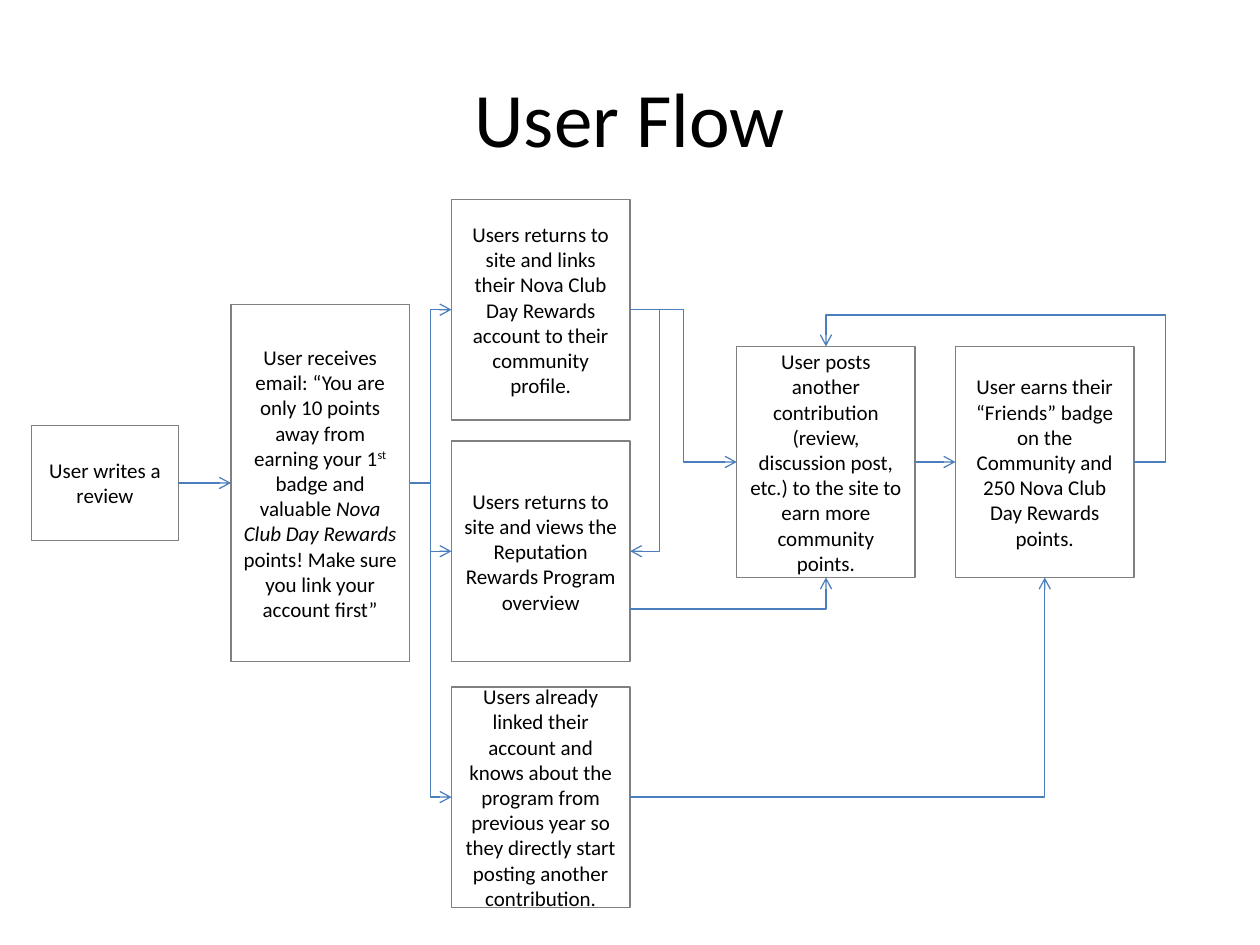
from lxml.etree import SubElement
from pptx import Presentation
from pptx.dml.color import RGBColor as RGB
from pptx.enum.shapes import MSO_CONNECTOR as CONN, MSO_SHAPE as SHAPE
from pptx.enum.text import MSO_ANCHOR as ANCHOR, PP_ALIGN as ALIGN
from pptx.oxml.ns import qn
from pptx.util import Pt

# Content: box name -> (left, top, width, height), text runs with formats
TITLE = "User Flow"
TITLE_AREA = (36, 21.6, 648, 90)
BOXES = {
    "review": ((18, 243, 84, 66), [("User writes a review", {})]),
    "email": ((132, 174, 102, 204), [
        ("User receives email: “You are only 10 points away from earning your 1", {}),
        ("st", {"baseline": "30000"}),
        (" badge and valuable ", {}),
        ("Nova Club Day Rewards ", {"italic": True}),
        ("points! Make sure you link your account first”", {})]),
    "link": ((258, 114, 102, 126), [
        ("Users returns to site and links their Nova Club Day Rewards account "
         "to their community profile.", {})]),
    "overview": ((258, 252, 102, 126), [
        ("Users returns to site and views the Reputation Rewards Program overview", {})]),
    "linked": ((258, 392.5, 102, 126), [
        ("Users already linked their account and knows about the program from previous "
         "year so they directly start posting another contribution.", {})]),
    "badge": ((546, 198, 102, 132), [
        ("User earns their “Friends” badge on the Community and "
         "250 Nova Club Day Rewards points.", {})]),
    "post": ((421, 198, 102, 132), [
        ("User posts another contribution (review, discussion post, etc.) to the site "
         "to earn more community points.", {})]),
}

# Flows: from box, side, to box, side, preset, bend positions (x, then y)
MID = None
FLOWS = [
    ("review", "right", "email", "left", "line", ()),
    ("email", "right", "link", "left", "bentConnector3", (MID,)),
    ("email", "right", "overview", "left", "bentConnector3", (MID,)),
    ("email", "right", "linked", "left", "bentConnector3", (MID,)),
    ("link", "right", "overview", "right", "bentConnector3", (378,)),
    ("link", "right", "post", "left", "bentConnector3", (MID,)),
    ("overview", "lower right", "post", "bottom", "bentConnector2", ()),
    ("linked", "right", "badge", "bottom", "bentConnector2", ()),
    ("badge", "right", "post", "top", "bentConnector4", (666, 180)),
    ("post", "right", "badge", "left", "line", ()),
]

# Side -> fraction of box width and height
SIDES = {"left": (0, 0.5), "right": (1, 0.5), "top": (0.5, 0),
         "bottom": (0.5, 1), "lower right": (1, 96 / 126)}

THEME = {
    "font": "Calibri", "title": Pt(44), "body": Pt(12), "line": Pt(0.75),
    "text": RGB(0, 0, 0), "border": RGB(0x80, 0x80, 0x80), "flow": RGB(0x4B, 0x7E, 0xBC),
}
MIN_SPAN = 0.12  # a bend is a share of the width, so the width cannot be zero


def write(sp, runs, size):
    tf = sp.text_frame
    tf.word_wrap, tf.vertical_anchor = True, ANCHOR.MIDDLE
    p = tf.paragraphs[0]
    p.alignment = ALIGN.CENTER
    for text, extra in runs:
        r = p.add_run()
        r.text = text
        r.font.color.rgb = THEME["text"]
        for key, value in {"name": THEME["font"], "size": size, **extra}.items():
            if key == "baseline":
                r.font._element.set(key, value)
            else:
                setattr(r.font, key, value)


def add_box(shapes, area, runs):
    sp = shapes.add_shape(SHAPE.RECTANGLE, *map(Pt, area))
    sp.shadow.inherit = False
    sp.fill.background()
    sp.line.color.rgb, sp.line.width = THEME["border"], THEME["line"]
    write(sp, runs, THEME["body"])


def anchor(box, side):
    left, top, width, height = BOXES[box][0]
    fx, fy = SIDES[side]
    return left + fx * width, top + fy * height


def add_flow(shapes, start, start_side, end, end_side, preset, bends):
    (x1, y1), (x2, y2) = anchor(start, start_side), anchor(end, end_side)
    if x1 == x2:
        x2 += MIN_SPAN
    kind = CONN.STRAIGHT if preset == "line" else CONN.ELBOW
    cxn = shapes.add_connector(kind, *map(Pt, (x1, y1, x2, y2)))
    cxn.line.color.rgb, cxn.line.width = THEME["flow"], THEME["line"]

    # Arrowhead, no shadow
    pr = cxn._element.spPr
    SubElement(cxn.line._get_or_add_ln(), qn("a:tailEnd"), type="arrow")
    SubElement(pr, qn("a:effectLst"))

    # Route: each bend as a share of the span from start to end
    geom = pr.find(qn("a:prstGeom"))
    geom.set("prst", preset)
    guides = geom.find(qn("a:avLst"))
    spans = ((x1, x2), (y1, y2))
    for i, (bend, (a, b)) in enumerate(zip(bends, spans), 1):
        share = 0.5 if bend is MID else (bend - a) / (b - a)
        SubElement(guides, qn("a:gd"), name=f"adj{i}", fmla=f"val {round(share * 100000)}")


def main():
    prs = Presentation()
    prs.slide_width, prs.slide_height = Pt(720), Pt(540)
    shapes = prs.slides.add_slide(prs.slide_layouts[6]).shapes

    # Title
    write(shapes.add_textbox(*map(Pt, TITLE_AREA)), [(TITLE, {})], THEME["title"])

    # Boxes and the flows between them
    for area, runs in BOXES.values():
        add_box(shapes, area, runs)
    for flow in FLOWS:
        add_flow(shapes, *flow)

    prs.save("out.pptx")


if __name__ == "__main__":
    main()
